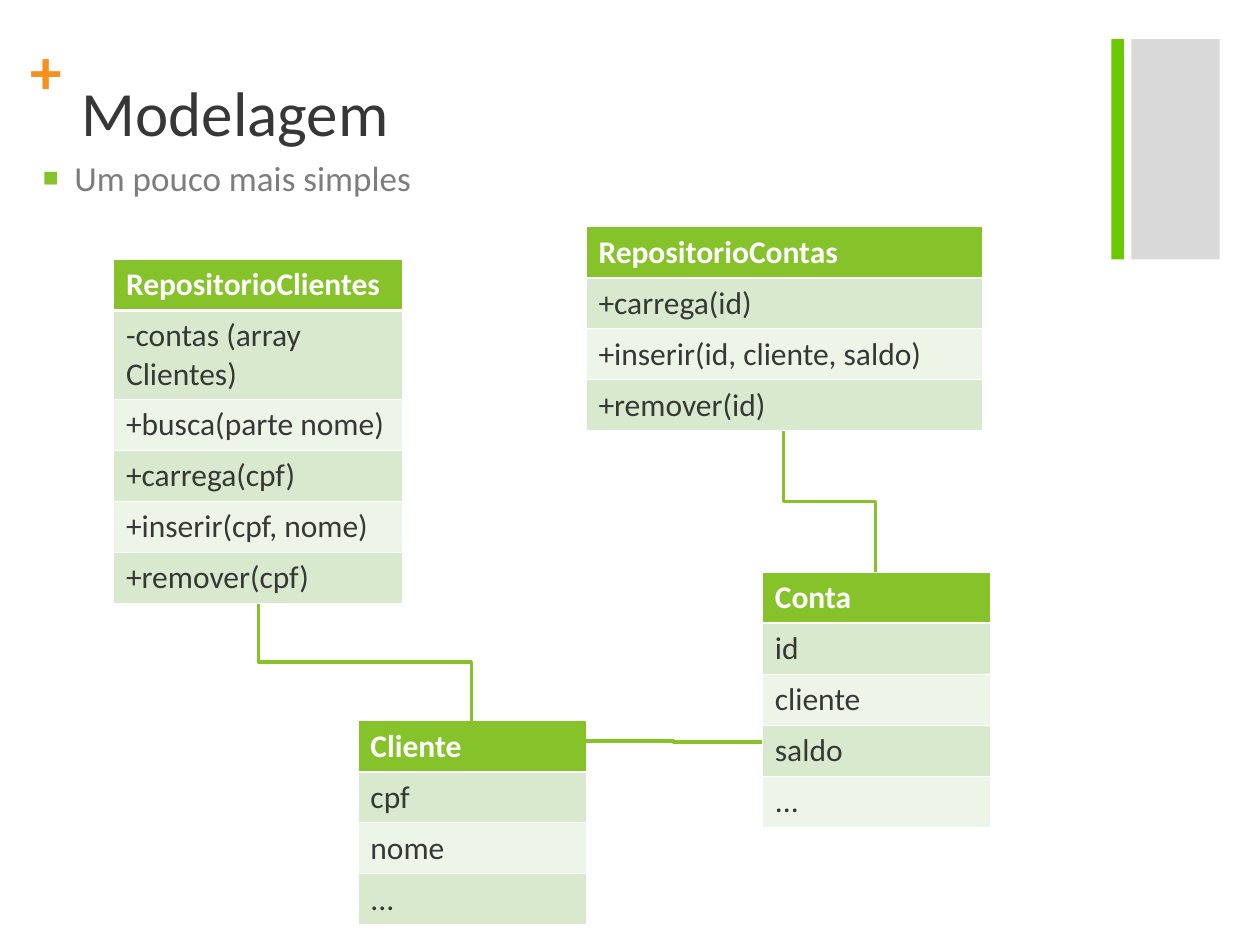
from lxml import etree
from pptx import Presentation
from pptx.dml.color import RGBColor
from pptx.enum.shapes import MSO_CONNECTOR as CONN, MSO_SHAPE as SHAPE
from pptx.enum.text import MSO_ANCHOR as ANCHOR, MSO_AUTO_SIZE as FIT, PP_ALIGN as ALIGN
from pptx.oxml.ns import qn
from pptx.util import Inches, Pt

COLORS = {
    "green": "86C32A", "bar": "6CC800", "gray": "D9D9D9", "plus": "F7901E",
    "dark": "373737", "muted": "7D7D7D", "white": "FFFFFF",
    "band1": "D9E9CD", "band2": "EDF5E8",
}
CLASSES = [
    ((2.84, 5.72, 1.81, 1.62), ["Cliente", "cpf", "nome", "..."], None),
    ((6.05, 4.54, 1.81, 2.03), ["Conta", "id", "cliente", "saldo", "..."], None),
    ((4.65, 1.8, 3.15, 1.62),
     ["RepositorioContas", "+carrega(id)", "+inserir(id, cliente, saldo)", "+remover(id)"], None),
    ((0.9, 2.06, 2.29, 2.73),
     ["RepositorioClientes", "-contas (array Clientes)", "+busca(parte nome)",
      "+carrega(cpf)", "+inserir(cpf, nome)", "+remover(cpf)"], 1),
]
EXTRA_LINE = 0.3


def rgb(name):
    """Return the named colour."""
    return RGBColor.from_string(COLORS[name])


def write(tf, text, size=18, color="dark", bold=False):
    """Write one formatted paragraph into a text frame and return it."""
    p = tf.paragraphs[0]
    p.alignment = ALIGN.LEFT
    p.space_before = Pt(0)
    r = p.add_run()
    r.text = text
    r.font.name, r.font.size, r.font.bold = "Calibri", Pt(size), bold
    r.font.color.rgb = rgb(color)
    return p


def place(sp, box):
    """Move a shape to a box given in inches."""
    sp.left, sp.top, sp.width, sp.height = map(Inches, box)


def add_bar(slide, box, color):
    """Draw a plain filled rectangle."""
    sp = slide.shapes.add_shape(SHAPE.RECTANGLE, *map(Inches, box))
    sp.shadow.inherit = False
    sp.fill.solid()
    sp.fill.fore_color.rgb = rgb(color)
    sp.line.fill.background()


def add_decor(slide):
    """Draw the side bars and the plus sign."""
    add_bar(slide, (8.98, 0.31, 0.7, 1.75), "gray")
    add_bar(slide, (8.82, 0.31, 0.1, 1.75), "bar")
    tf = slide.shapes.add_textbox(*map(Inches, (0.24, 0.25, 0.28, 0.6))).text_frame
    tf.margin_left = tf.margin_right = tf.margin_top = tf.margin_bottom = 0
    tf.word_wrap = True
    write(tf, "+", size=36, color="plus", bold=True)


def add_heading(slide, title_box, body_box):
    """Fill the title and the bulleted body."""
    title, body = slide.placeholders
    for sp, box in ((title, title_box), (body, body_box)):
        place(sp, box)
        sp.text_frame.vertical_anchor = ANCHOR.TOP
        sp.text_frame.auto_size = FIT.NONE
    write(title.text_frame, "Modelagem", size=36)
    p = write(body.text_frame, "Um pouco mais simples", size=20, color="muted")
    pPr = p._p.get_or_add_pPr()
    pPr.set("marL", str(Inches(0.25)))
    pPr.set("indent", str(-Inches(0.25)))
    clr = etree.SubElement(pPr, qn("a:buClr"))
    etree.SubElement(clr, qn("a:srgbClr"), val=COLORS["green"])
    etree.SubElement(pPr, qn("a:buSzPct"), val="75000")
    etree.SubElement(pPr, qn("a:buChar"), char="■")


def set_borders(cell, top, bottom):
    """Give a cell white borders, with widths in points."""
    tcPr = cell._tc.get_or_add_tcPr()
    sides = (("L", 0.45), ("R", 0.45), ("T", top), ("B", bottom))
    for i, (side, width) in enumerate(sides):
        ln = etree.Element(qn(f"a:ln{side}"), w=str(Pt(width)))
        fill = etree.SubElement(ln, qn("a:solidFill"))
        etree.SubElement(fill, qn("a:srgbClr"), val=COLORS["white"])
        tcPr.insert(i, ln)


def add_class(slide, box, rows, wrapped):
    """Draw a class table; wrapped is the index of a row with two lines."""
    table = slide.shapes.add_table(len(rows), 1, *map(Inches, box)).table
    extra = 0 if wrapped is None else EXTRA_LINE
    row_h = (box[3] - extra) / len(rows)
    for i, text in enumerate(rows):
        table.rows[i].height = Inches(row_h + (extra if i == wrapped else 0))
        cell = table.cell(i, 0)
        head = i == 0
        cell.fill.solid()
        cell.fill.fore_color.rgb = rgb("green" if head else "band1" if i % 2 else "band2")
        write(cell.text_frame, text, color="white" if head else "dark", bold=head)
        set_borders(cell, 1.47 if i == 1 else 0.45, 1.47 if head else 0.45)


def add_elbow(slide, x1, y1, x2, y2, vertical=False):
    """Draw an elbow connector that leaves sideways, or downwards if vertical."""
    if vertical:
        cx, cy = (x1 + x2) / 2, (y1 + y2) / 2
        half_w, half_h = (y2 - y1) / 2, (x2 - x1) / 2
        x1, y1, x2, y2 = cx + half_w, cy - half_h, cx - half_w, cy + half_h
    c = slide.shapes.add_connector(CONN.ELBOW, *map(Inches, (x1, y1, x2, y2)))
    c.line.color.rgb = rgb("green")
    c.line.width = Pt(2)
    spPr = c._element.spPr
    etree.SubElement(spPr, qn("a:effectLst"))
    if vertical:
        spPr.find(qn("a:xfrm")).set("rot", str(270 * 60000))


def main():
    """Build the slide and save it."""
    prs = Presentation()
    prs.slide_width, prs.slide_height = Inches(10), Inches(7.5)
    slide = prs.slides.add_slide(prs.slide_layouts[1])
    add_decor(slide)
    add_heading(slide, (0.55, 0.53, 8.26, 1.22), (0.24, 1.19, 8.26, 4.53))
    for box, rows, wrapped in CLASSES:
        add_class(slide, box, rows, wrapped)
    add_elbow(slide, 6.22, 3.42, 6.95, 4.54, vertical=True)
    add_elbow(slide, 2.05, 4.79, 3.74, 5.72, vertical=True)
    add_elbow(slide, 6.05, 5.89, 4.64, 5.88)
    prs.save("out.pptx")


if __name__ == "__main__":
    main()
